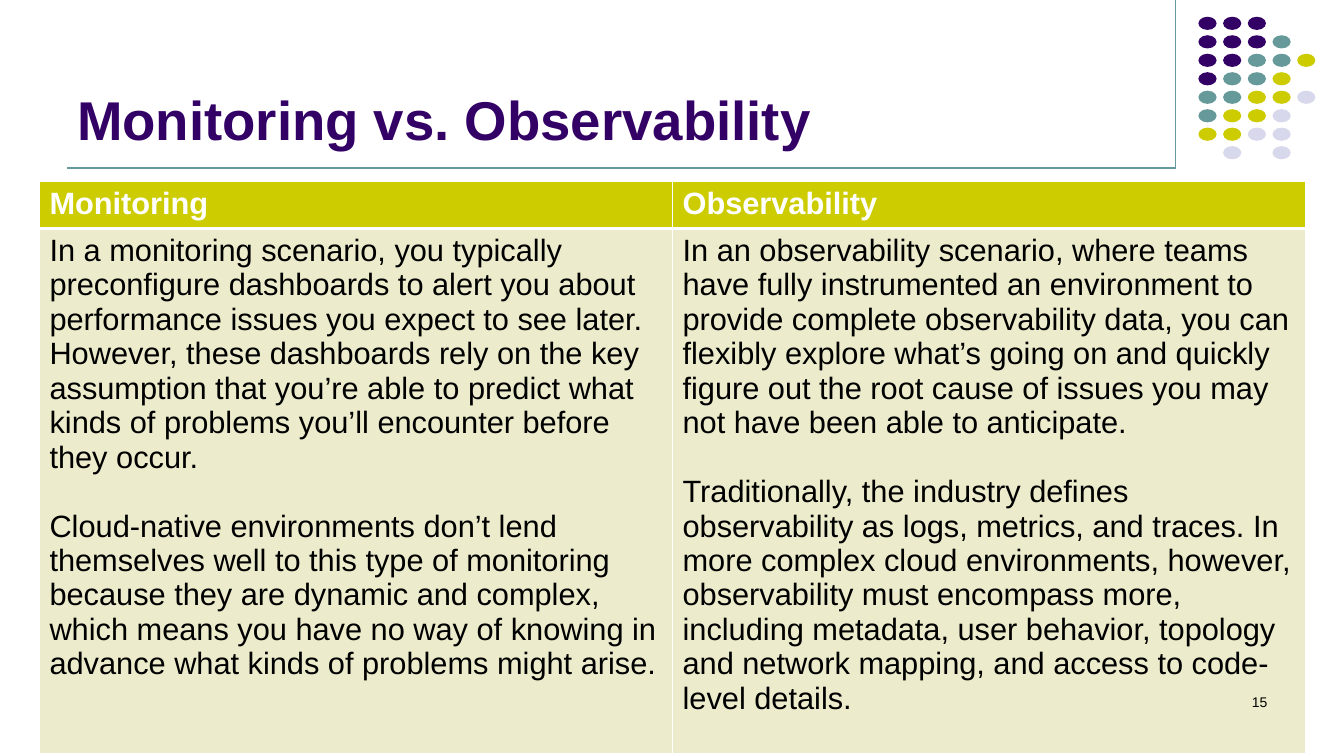
"""Build the Monitoring vs. Observability comparison slide."""
from lxml import etree
from pptx import Presentation
from pptx.dml.color import RGBColor
from pptx.enum import shapes, text
from pptx.oxml import ns
from pptx.util import Pt

COLORS = {
    "purple": "330066", "teal": "669999", "lime": "CCCC00", "lilac": "D8D8EC",
    "cream": "ECECCC", "white": "FFFFFF", "black": "000000",
}
TITLE = "Monitoring vs. Observability"
PAGE_NUMBER = "15"
COLUMNS = {
    "Monitoring": [
        "In a monitoring scenario, you typically preconfigure dashboards to alert you about "
        "performance issues you expect to see later. However, these dashboards rely on the key "
        "assumption that you’re able to predict what kinds of problems you’ll encounter before "
        "they occur.",
        "Cloud-native environments don’t lend themselves well to this type of monitoring because "
        "they are dynamic and complex, which means you have no way of knowing in advance what "
        "kinds of problems might arise.",
    ],
    "Observability": [
        "In an observability scenario, where teams have fully instrumented an environment to "
        "provide complete observability data, you can flexibly explore what’s going on and quickly "
        "figure out the root cause of issues you may not have been able to anticipate.",
        "Traditionally, the industry defines observability as logs, metrics, and traces. In more "
        "complex cloud environments, however, observability must encompass more, including "
        "metadata, user behavior, topology and network mapping, and access to code-level details.",
    ],
}
DOT_ROWS = ["PPP", "PPPT", "PPTTL", "PTTL", "TTLLV", "TLLV", "LLVV", " V V"]
DOT_COLORS = {"P": "purple", "T": "teal", "L": "lime", "V": "lilac"}
DOT_LEFT, DOT_TOP, DOT_WIDTH, DOT_HEIGHT = 856, 12, 13, 9.4
DOT_STEP_X, DOT_STEP_Y = 17.64, 13.2
RULES = [(840, 0, 840, 120), (48, 120, 840, 120)]
TABLE_BOX = (28.2, 129.6, 904.4, 384)
ROW_HEIGHTS = (32, 352)
PARAGRAPH_GAP = 24.6
HEADER_FORMAT = {"size": 22, "bold": True, "color": "white"}
BODY_FORMAT = {"size": 22, "bold": False, "color": "black"}
HEADER_BORDERS = {"lnL": 1, "lnR": 1, "lnT": 1, "lnB": 3}
BODY_BORDERS = {"lnL": 1, "lnR": 1, "lnT": 3, "lnB": 1}


def rgb(name):
    return RGBColor.from_string(COLORS[name])


def write(frame, lines, size, bold, color, align=text.PP_ALIGN.LEFT):
    frame.word_wrap = True
    for index, line in enumerate(lines):
        para = frame.add_paragraph() if index else frame.paragraphs[0]
        para.alignment = align
        if index:
            para.space_before = Pt(PARAGRAPH_GAP)
        span = para.add_run()
        span.text = line
        for key, value in {"name": "Arial", "size": Pt(size), "bold": bold}.items():
            setattr(span.font, key, value)
        span.font.color.rgb = rgb(color)


def add_text(page, place, content, anchor, **style):
    box = page.shapes.add_textbox(*map(Pt, place))
    box.text_frame.vertical_anchor = anchor
    write(box.text_frame, [content], **style)


def add_rule(page, ends):
    rule = page.shapes.add_connector(shapes.MSO_CONNECTOR.STRAIGHT, *map(Pt, ends))
    rule.line.color.rgb = rgb("teal")
    rule.line.width = Pt(0.75)
    etree.SubElement(rule.element.spPr, ns.qn("a:effectLst"))


def add_dots(page):
    for row, codes in enumerate(DOT_ROWS):
        for column, code in enumerate(codes):
            if code == " ":
                continue
            place = (DOT_LEFT + column * DOT_STEP_X, DOT_TOP + row * DOT_STEP_Y,
                     DOT_WIDTH, DOT_HEIGHT)
            dot = page.shapes.add_shape(shapes.MSO_SHAPE.OVAL, *map(Pt, place))
            dot.shadow.inherit = False
            dot.fill.solid()
            dot.fill.fore_color.rgb = rgb(DOT_COLORS[code])
            dot.line.fill.background()


def fill_cell(cell, lines, fill, borders, style):
    properties = cell._tc.get_or_add_tcPr()
    for side, width in borders.items():
        edge = etree.SubElement(properties, ns.qn(f"a:{side}"), w=str(Pt(width)))
        paint = etree.SubElement(edge, ns.qn("a:solidFill"))
        etree.SubElement(paint, ns.qn("a:srgbClr"), val=COLORS["white"])
    cell.fill.solid()
    cell.fill.fore_color.rgb = rgb(fill)
    write(cell.text_frame, lines, **style)


def add_comparison(page):
    table = page.shapes.add_table(2, len(COLUMNS), *map(Pt, TABLE_BOX)).table
    for row, height in zip(table.rows, ROW_HEIGHTS):
        row.height = Pt(height)
    for index, (heading, lines) in enumerate(COLUMNS.items()):
        table.columns[index].width = Pt(TABLE_BOX[2] / len(COLUMNS))
        fill_cell(table.cell(0, index), [heading], "lime", HEADER_BORDERS, HEADER_FORMAT)
        fill_cell(table.cell(1, index), lines, "cream", BODY_BORDERS, BODY_FORMAT)


def main():
    deck = Presentation()
    deck.slide_width, deck.slide_height = Pt(960), Pt(540)
    page = deck.slides.add_slide(deck.slide_layouts[6])
    for ends in RULES:
        add_rule(page, ends)
    add_dots(page)
    add_text(page, (48, 9.4, 792, 102.2), TITLE, text.MSO_ANCHOR.BOTTOM,
             size=39, bold=True, color="purple")
    add_comparison(page)
    add_text(page, (688.3, 491.8, 224, 36), PAGE_NUMBER, text.MSO_ANCHOR.TOP,
             size=10, bold=False, color="black", align=text.PP_ALIGN.RIGHT)
    deck.save("out.pptx")


if __name__ == "__main__":
    main()
